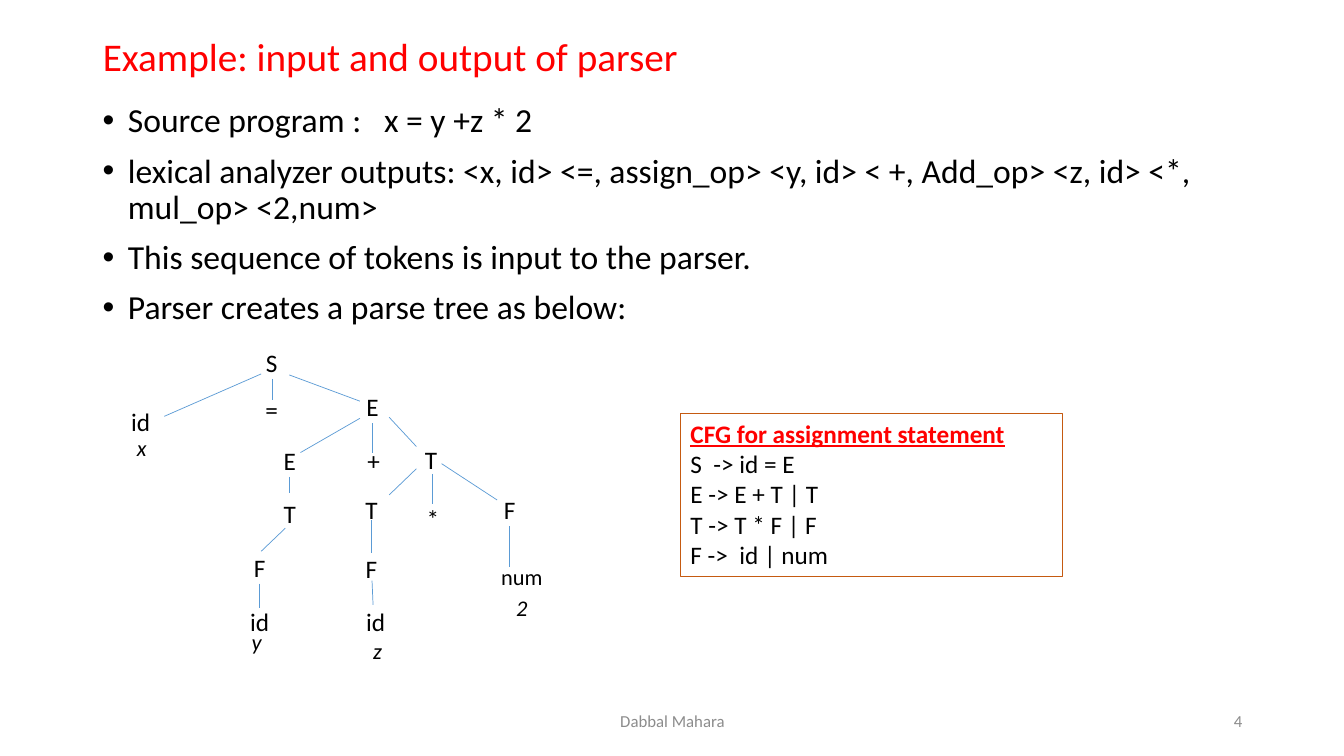
from lxml import etree
from pptx import Presentation
from pptx.dml.color import RGBColor
from pptx.enum.shapes import MSO_CONNECTOR, MSO_SHAPE
from pptx.enum.text import MSO_ANCHOR, MSO_AUTO_SIZE, PP_ALIGN
from pptx.oxml.ns import qn
from pptx.util import Pt

LEFT, CENTER, RIGHT = PP_ALIGN.LEFT, PP_ALIGN.CENTER, PP_ALIGN.RIGHT
TOP, MIDDLE = MSO_ANCHOR.TOP, MSO_ANCHOR.MIDDLE
STRAIGHT = MSO_CONNECTOR.STRAIGHT
RECTANGLE = MSO_SHAPE.RECTANGLE
NO_FIT = MSO_AUTO_SIZE.NONE

EMU_PER_PX = 9144
FONT = "Calibri"
BLACK, RED, GREY = "000000", "FF0000", "8C8C8C"
BRANCH_BLUE, FRAME_ORANGE = "5B9BD5", "C55A11"

BULLETS = [
    "Source program :   x = y +z * 2",
    "lexical analyzer outputs: <x, id> <=, assign_op> <y, id> < +, Add_op> "
    "<z, id> <*, mul_op> <2,num>",
    "This sequence of tokens is input to the parser.",
    "Parser creates a parse tree as below:",
]

GRAMMAR_TITLE = "CFG for assignment statement"
GRAMMAR_RULES = ["S  -> id = E", "E -> E + T | T", "T -> T * F | F", "F ->  id | num"]

SYMBOLS = [
    ("S", 241, 340), ("=", 241, 386), ("id", 111, 398), ("E", 341, 383),
    ("E", 259, 437), ("+", 342, 437), ("T", 399, 436),
    ("T", 259, 489), ("T", 340, 486), ("*", 401, 494), ("F", 477, 486),
    ("F", 229, 543), ("F", 340, 544), ("id", 229, 597), ("id", 344, 597),
]

LEXEMES = [("x", 107, 426), ("y", 221, 618), ("z", 341, 627), ("2", 484, 585)]

BRANCHES = [
    (259, 371, 163, 413), (270, 376, 270, 397), (287, 372, 357, 398),
    (357, 415, 298, 449), (369, 420, 369, 449), (386, 414, 413, 443),
    (287, 473, 287, 489), (283, 524, 259, 547), (257, 579, 257, 603),
    (413, 465, 386, 491), (429, 470, 429, 500), (438, 460, 493, 496),
    (368, 516, 368, 549), (369, 576, 370, 600), (505, 522, 505, 563),
]


def px(length):
    return length * EMU_PER_PX


def color(hex_string):
    return RGBColor.from_string(hex_string)


def place(shape, left, top, width, height):
    shape.left, shape.top = px(left), px(top)
    shape.width, shape.height = px(width), px(height)


def set_frame(frame, anchor):
    frame.word_wrap = True
    frame.auto_size = NO_FIT
    frame.vertical_anchor = anchor


def add_span(para, text, size, hex_string, bold=False, italic=False, underline=False):
    span = para.add_run()
    span.text = text
    font = span.font
    font.name, font.size = FONT, Pt(size)
    font.bold, font.italic, font.underline = bold, italic, underline
    font.color.rgb = color(hex_string)


def add_bullet(para):
    properties = para._p.get_or_add_pPr()
    properties.set("marL", str(px(25)))
    properties.set("indent", str(px(-25)))
    etree.SubElement(properties, qn("a:buFont")).set("typeface", "Arial")
    etree.SubElement(properties, qn("a:buChar")).set("char", "•")


def add_title(page, text):
    title = page.shapes.title
    place(title, 92, 19, 1150, 78)
    set_frame(title.text_frame, MIDDLE)
    para = title.text_frame.paragraphs[0]
    para.alignment = LEFT
    para.line_spacing = 0.9
    add_span(para, text, 28, RED)


def add_label(page, text, area, size, hex_string=BLACK, align=CENTER, anchor=TOP, italic=False):
    box = page.shapes.add_textbox(*map(px, area))
    set_frame(box.text_frame, anchor)
    para = box.text_frame.paragraphs[0]
    para.alignment = align
    add_span(para, text, size, hex_string, italic=italic)


def add_bullets(page, lines, area):
    box = page.shapes.add_textbox(*map(px, area))
    frame = box.text_frame
    set_frame(frame, TOP)
    for index, line in enumerate(lines):
        para = frame.add_paragraph() if index else frame.paragraphs[0]
        para.line_spacing = 0.9
        para.space_before = Pt(10)
        add_bullet(para)
        add_span(para, line, 24, BLACK)


def add_branch(page, ends):
    branch = page.shapes.add_connector(STRAIGHT, *map(px, ends))
    branch.line.color.rgb = color(BRANCH_BLUE)
    branch.line.width = Pt(0.5)
    etree.SubElement(branch._element.spPr, qn("a:effectLst"))


def add_parse_tree(page):
    for text, left, top in SYMBOLS:
        add_label(page, text, (left, top, 57, 36), 18)
    add_label(page, "num", (477, 554, 81, 33), 16)
    for ends in BRANCHES:
        add_branch(page, ends)
    for text, left, top in LEXEMES:
        add_label(page, text, (left, top, 67, 33), 16, italic=True)


def add_grammar(page, area):
    box = page.shapes.add_shape(RECTANGLE, *map(px, area))
    box.shadow.inherit = False
    box.fill.background()
    box.line.color.rgb = color(FRAME_ORANGE)
    box.line.width = Pt(0.75)
    frame = box.text_frame
    set_frame(frame, TOP)
    heading = frame.paragraphs[0]
    heading.alignment = LEFT
    add_span(heading, GRAMMAR_TITLE, 18, RED, bold=True, underline=True)
    for rule in GRAMMAR_RULES:
        para = frame.add_paragraph()
        para.alignment = LEFT
        add_span(para, rule, 18, BLACK)


def main():
    deck = Presentation()
    deck.slide_width, deck.slide_height = px(1333), px(750)
    page = deck.slides.add_slide(deck.slide_layouts.get_by_name("Title Only"))
    add_title(page, "Example: input and output of parser")
    add_bullets(page, BULLETS, (92, 98, 1150, 277))
    add_label(page, "Dabbal Mahara", (442, 695, 450, 40), 12, GREY, anchor=MIDDLE)
    add_label(page, "4", (942, 695, 300, 40), 12, GREY, RIGHT, MIDDLE)
    add_parse_tree(page)
    add_grammar(page, (675, 410, 379, 162))
    deck.save("out.pptx")


if __name__ == "__main__":
    main()
